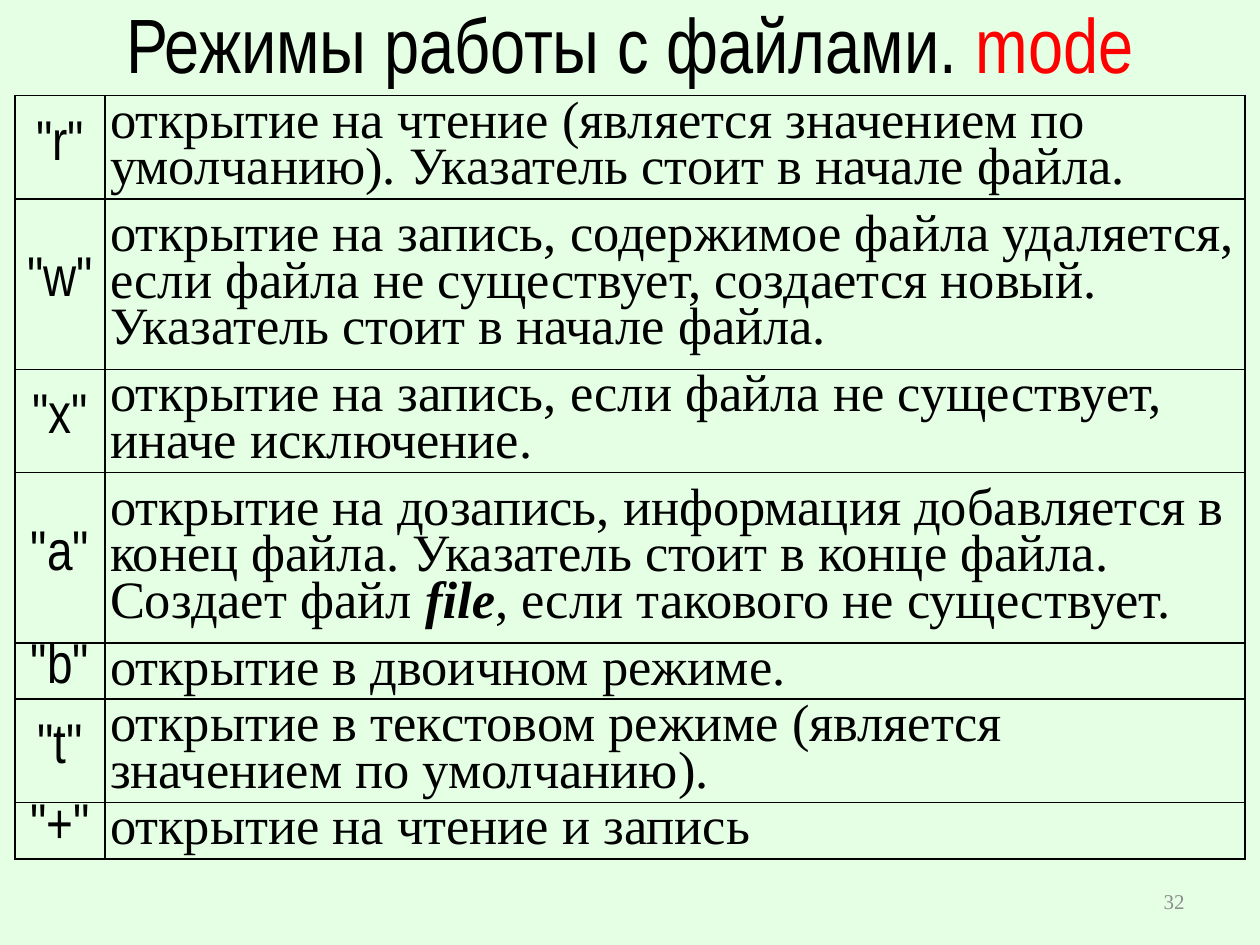
from dataclasses import dataclass

import lxml.etree
import pptx
import pptx.dml.color
import pptx.enum.text
import pptx.oxml.ns
import pptx.util

Pt = pptx.util.Pt
ALIGN = pptx.enum.text.PP_ALIGN
MIDDLE = pptx.enum.text.MSO_ANCHOR.MIDDLE
SANS, SERIF = "Arial Narrow", "Times New Roman"
BLACK, RED, GREY, PALE_GREEN = "000000", "FF0000", "8C8C8C", "E5FFE5"
ONE_LINE, TWO_LINES, THREE_LINES = 27.4, 51.1, 97.3


@dataclass
class Mode:
    """A file mode: its letter, row height and description."""

    letter: str
    height: float
    description: str
    emphasis: str = ""
    ending: str = ""


MODES = [
    Mode('"r"', TWO_LINES, "открытие на чтение (является значением по умолчанию). "
         "Указатель стоит в начале файла."),
    Mode('"w"', THREE_LINES, "открытие на запись, содержимое файла удаляется, если файла "
         "не существует, создается новый. Указатель стоит в начале файла. "),
    Mode('"x"', TWO_LINES, "открытие на запись, если файла не существует, иначе исключение."),
    Mode('"a"', THREE_LINES, "открытие на дозапись, информация добавляется в конец файла. "
         "Указатель стоит в конце файла. Создает файл ",
         "file", ", если такового не существует."),
    Mode('"b"', ONE_LINE, "открытие в двоичном режиме."),
    Mode('"t"', TWO_LINES, "открытие в текстовом режиме (является значением по умолчанию)."),
    Mode('"+"', ONE_LINE, "открытие на чтение и запись"),
]


def rgb(color: str) -> pptx.dml.color.RGBColor:
    """Turn a hex string into a colour."""
    return pptx.dml.color.RGBColor.from_string(color)


def format_paragraph(paragraph, font: str, size: float, alignment, color: str = BLACK) -> None:
    """Set the font, size, alignment and colour of a paragraph."""
    paragraph.alignment = alignment
    paragraph.font.name = font
    paragraph.font.size = Pt(size)
    paragraph.font.color.rgb = rgb(color)


def place(shape, left: float, top: float, width: float, height: float) -> None:
    """Move and size a shape, in points."""
    shape.left, shape.top = Pt(left), Pt(top)
    shape.width, shape.height = Pt(width), Pt(height)


def add_borders(cell) -> None:
    """Draw a thin black line on every side of a cell."""
    properties = cell._tc.get_or_add_tcPr()
    qn = pptx.oxml.ns.qn
    for side in ("lnL", "lnR", "lnT", "lnB"):
        line = lxml.etree.SubElement(properties, qn(f"a:{side}"), w=str(Pt(1)))
        fill = lxml.etree.SubElement(line, qn("a:solidFill"))
        lxml.etree.SubElement(fill, qn("a:srgbClr"), val=BLACK)


def format_cell(cell, font: str, size: float, alignment) -> None:
    """Give a filled-in cell its borders, margins and text format."""
    add_borders(cell)
    cell.fill.background()
    cell.vertical_anchor = MIDDLE
    cell.margin_left = cell.margin_right = Pt(2.9)
    cell.margin_top = cell.margin_bottom = Pt(0.73)
    paragraph = cell.text_frame.paragraphs[0]
    format_paragraph(paragraph, font, size, alignment)
    paragraph.line_spacing = 0.8


def add_title(slide) -> None:
    """Fill in the title placeholder."""
    title = slide.shapes.title
    place(title, 8.6, 0, 702.8, 49)
    frame = title.text_frame
    frame.auto_size = pptx.enum.text.MSO_AUTO_SIZE.NONE
    frame.vertical_anchor = MIDDLE
    paragraph = frame.paragraphs[0]
    format_paragraph(paragraph, SANS, 44, ALIGN.CENTER)
    paragraph.add_run().text = "Режимы работы с файлами. "
    mode = paragraph.add_run()
    mode.text = "mode"
    mode.font.color.rgb = rgb(RED)


def add_mode_table(slide) -> None:
    """Add the table of file modes."""
    frame = slide.shapes.add_table(len(MODES), 2, Pt(8.6), Pt(54.7), Pt(702.8), Pt(457.2))
    table = frame.table
    table.first_row = table.horz_banding = False
    for column, width in zip(table.columns, (51.4, 651.4)):
        column.width = Pt(width)
    for index, mode in enumerate(MODES):
        table.rows[index].height = Pt(mode.height)
        letter, description = table.cell(index, 0), table.cell(index, 1)
        letter.text = mode.letter
        format_cell(letter, SANS, 32, ALIGN.CENTER)
        description.text = mode.description
        format_cell(description, SERIF, 30, ALIGN.LEFT)
        if mode.emphasis:
            paragraph = description.text_frame.paragraphs[0]
            emphasis = paragraph.add_run()
            emphasis.text = mode.emphasis
            emphasis.font.bold = emphasis.font.italic = True
            paragraph.add_run().text = mode.ending
    frame.height = Pt(457.2)


def add_slide_number(slide) -> None:
    """Add the slide number at the bottom right."""
    box = slide.shapes.add_textbox(Pt(516), Pt(500.5), Pt(168), Pt(28.8))
    frame = box.text_frame
    frame.word_wrap = True
    frame.vertical_anchor = MIDDLE
    frame.text = "32"
    format_paragraph(frame.paragraphs[0], SERIF, 12, ALIGN.RIGHT, GREY)


def main() -> None:
    """Build and save the presentation."""
    presentation = pptx.Presentation()
    presentation.slide_width, presentation.slide_height = Pt(720), Pt(540)
    slide = presentation.slides.add_slide(presentation.slide_layouts[5])
    slide.background.fill.solid()
    slide.background.fill.fore_color.rgb = rgb(PALE_GREEN)
    add_title(slide)
    add_slide_number(slide)
    add_mode_table(slide)
    presentation.save("out.pptx")


main()
